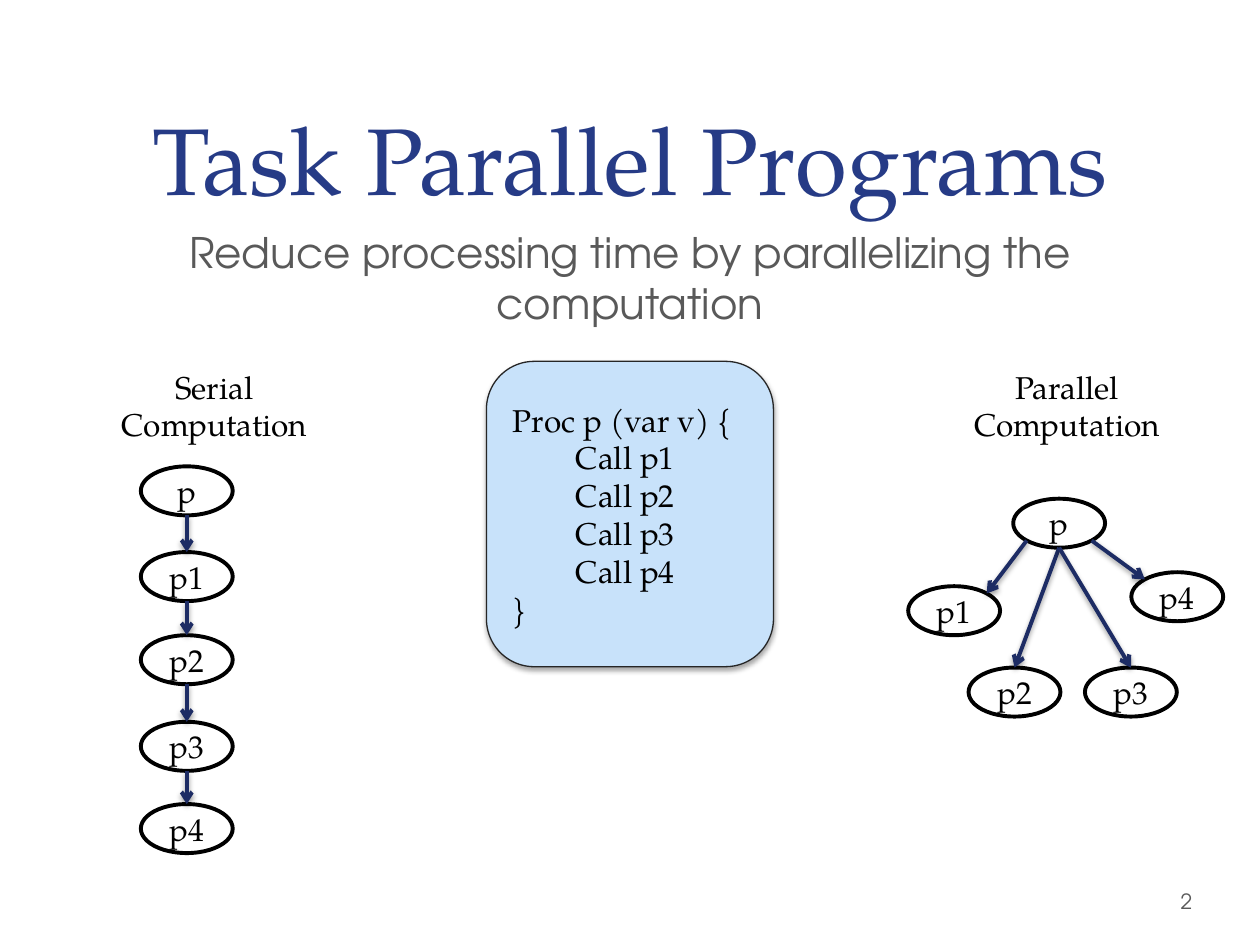
import math

from lxml import etree
from pptx import Presentation
from pptx import util as u
from pptx.dml.color import RGBColor
from pptx.enum import shapes, text
from pptx.oxml.ns import qn

NAVY = RGBColor(0x26, 0x3B, 0x86)
ARROW = RGBColor(0x1D, 0x2C, 0x64)
GREY = RGBColor(0x59, 0x59, 0x59)
BLACK = RGBColor(0, 0, 0)
WHITE = RGBColor(0xFF, 0xFF, 0xFF)
CODE_FILL = RGBColor(0xC8, 0xE2, 0xFA)
CODE_EDGE = RGBColor(0x26, 0x26, 0x26)
SERIF = "TeX Gyre Pagella"
SANS = "TeX Gyre Adventor"

NODE_WIDTH, NODE_HEIGHT = 52.5, 28
SERIAL_LEFT = 80.5
SERIAL_TOPS = {"p": 266.5, "p1": 315.5, "p2": 363, "p3": 412.5, "p4": 459.5}
PARALLEL_PLACES = {
    "p": (579, 285),
    "p1": (519, 335),
    "p2": (553.5, 381.5),
    "p3": (620, 381.5),
    "p4": (646.5, 327),
}
TOP, TOP_LEFT, BOTTOM_LEFT, BOTTOM, BOTTOM_RIGHT, TOP_RIGHT = 0, 1, 3, 4, 5, 7
FORKS = [
    ("p1", BOTTOM_LEFT, TOP_RIGHT),
    ("p4", BOTTOM_RIGHT, TOP_LEFT),
    ("p2", BOTTOM, TOP),
    ("p3", BOTTOM, TOP),
]


def points(*lengths):
    return [u.Pt(length) for length in lengths]


def write(shape, lines, font=SERIF, size=18, color=BLACK, align=text.PP_ALIGN.CENTER,
          anchor=text.MSO_ANCHOR.TOP, spacing=None, indented=()):
    frame = shape.text_frame
    frame.word_wrap = True
    frame.auto_size = text.MSO_AUTO_SIZE.NONE
    frame.vertical_anchor = anchor
    frame.text = "\n".join(lines)
    for index, paragraph in enumerate(frame.paragraphs):
        paragraph.alignment = align
        if spacing:
            paragraph.line_spacing = u.Pt(spacing)
        if index in indented:
            paragraph.level = 1
            properties = paragraph._p.get_or_add_pPr()
            properties.set("marL", str(u.Pt(36)))
            properties.set("indent", "0")
        paragraph.font.name = font
        paragraph.font.size = u.Pt(size)
        paragraph.font.color.rgb = color


def add_label(slide, box, lines, **form):
    label = slide.shapes.add_textbox(*points(*box))
    write(label, lines, **form)
    return label


def add_outlined(slide, kind, box, fill, edge, width):
    outlined = slide.shapes.add_shape(kind, *points(*box))
    outlined.shadow.inherit = False
    outlined.fill.solid()
    outlined.fill.fore_color.rgb = fill
    outlined.line.color.rgb = edge
    outlined.line.width = u.Pt(width)
    return outlined


def add_shadow(properties, distance, opacity):
    effects = properties.find(qn("a:effectLst"))
    if effects is None:
        effects = etree.SubElement(properties, qn("a:effectLst"))
    shadow = etree.SubElement(effects, qn("a:outerShdw"), blurRad=str(u.Pt(3.1)),
                              dist=str(u.Pt(distance)), dir="5400000", rotWithShape="0")
    tint = etree.SubElement(shadow, qn("a:srgbClr"), val=str(BLACK))
    etree.SubElement(tint, qn("a:alpha"), val=str(opacity * 1000))


def add_node(slide, name, left, top):
    node = add_outlined(slide, shapes.MSO_SHAPE.OVAL, (left, top, NODE_WIDTH, NODE_HEIGHT),
                        WHITE, BLACK, 2.25)
    write(node, [name], anchor=text.MSO_ANCHOR.MIDDLE)
    return node


def site_point(node, site):
    angle = math.radians(45 * site)
    x = node.left + node.width / 2 * (1 - math.sin(angle))
    y = node.top + node.height / 2 * (1 - math.cos(angle))
    return int(x), int(y)


def add_arrow(slide, caller, callee, start_site=BOTTOM, end_site=TOP):
    start, end = site_point(caller, start_site), site_point(callee, end_site)
    arrow = slide.shapes.add_connector(shapes.MSO_CONNECTOR.STRAIGHT, *start, *end)
    arrow.begin_connect(caller, 0)
    arrow.end_connect(callee, 0)
    for tag, site in (("a:stCxn", start_site), ("a:endCxn", end_site)):
        next(arrow._element.iter(qn(tag))).set("idx", str(site))
    arrow.begin_x, arrow.begin_y = start
    arrow.end_x, arrow.end_y = end
    arrow.line.color.rgb = ARROW
    arrow.line.width = u.Pt(2.25)
    etree.SubElement(arrow.line._get_or_add_ln(), qn("a:tailEnd"), type="arrow")
    add_shadow(arrow._element.spPr, 1.6, 38)


def add_serial(slide):
    add_label(slide, (60.5, 206.5, 124, 51), ["Serial Computation"])
    nodes = [add_node(slide, name, SERIAL_LEFT, top) for name, top in SERIAL_TOPS.items()]
    for caller, callee in zip(nodes, nodes[1:]):
        add_arrow(slide, caller, callee)


def add_parallel(slide):
    add_label(slide, (546, 206.5, 127.5, 51), ["Parallel", "Computation"])
    nodes = {name: add_node(slide, name, *place) for name, place in PARALLEL_PLACES.items()}
    for callee, start_site, end_site in FORKS:
        add_arrow(slide, nodes["p"], nodes[callee], start_site, end_site)


def add_procedure(slide):
    procedure = add_outlined(slide, shapes.MSO_SHAPE.ROUNDED_RECTANGLE,
                             (278, 206.5, 164, 174.5), CODE_FILL, CODE_EDGE, 0.75)
    add_shadow(procedure._element.spPr, 1.8, 35)
    calls = [f"Call p{number}" for number in range(1, 5)]
    write(procedure, ["Proc p (var v) {", *calls, "}"], align=text.PP_ALIGN.LEFT,
          anchor=text.MSO_ANCHOR.MIDDLE, indented=range(1, 5))


def add_heading(slide):
    title = slide.shapes.title
    title.left, title.top, title.width, title.height = points(36, 0, 648, 126)
    write(title, ["Task Parallel Programs"], size=54, color=NAVY,
          anchor=text.MSO_ANCHOR.BOTTOM, spacing=58)
    add_label(slide, (36, 126, 648, 69),
              ["Reduce processing time by parallelizing the computation"],
              font=SANS, size=24, color=GREY)


def add_page_number(slide):
    number = add_label(slide, (672.5, 500.5, 44, 29), ["2"], font=SANS, size=12, color=GREY,
                       align=text.PP_ALIGN.LEFT, anchor=text.MSO_ANCHOR.MIDDLE)
    number.text_frame.margin_left = u.Pt(2.2)
    number.text_frame.margin_right = u.Pt(3.6)


def main():
    deck = Presentation()
    deck.slide_width, deck.slide_height = points(720, 540)
    slide = deck.slides.add_slide(deck.slide_layouts[5])
    add_heading(slide)
    add_page_number(slide)
    add_serial(slide)
    add_parallel(slide)
    add_procedure(slide)
    deck.save("out.pptx")


if __name__ == "__main__":
    main()
